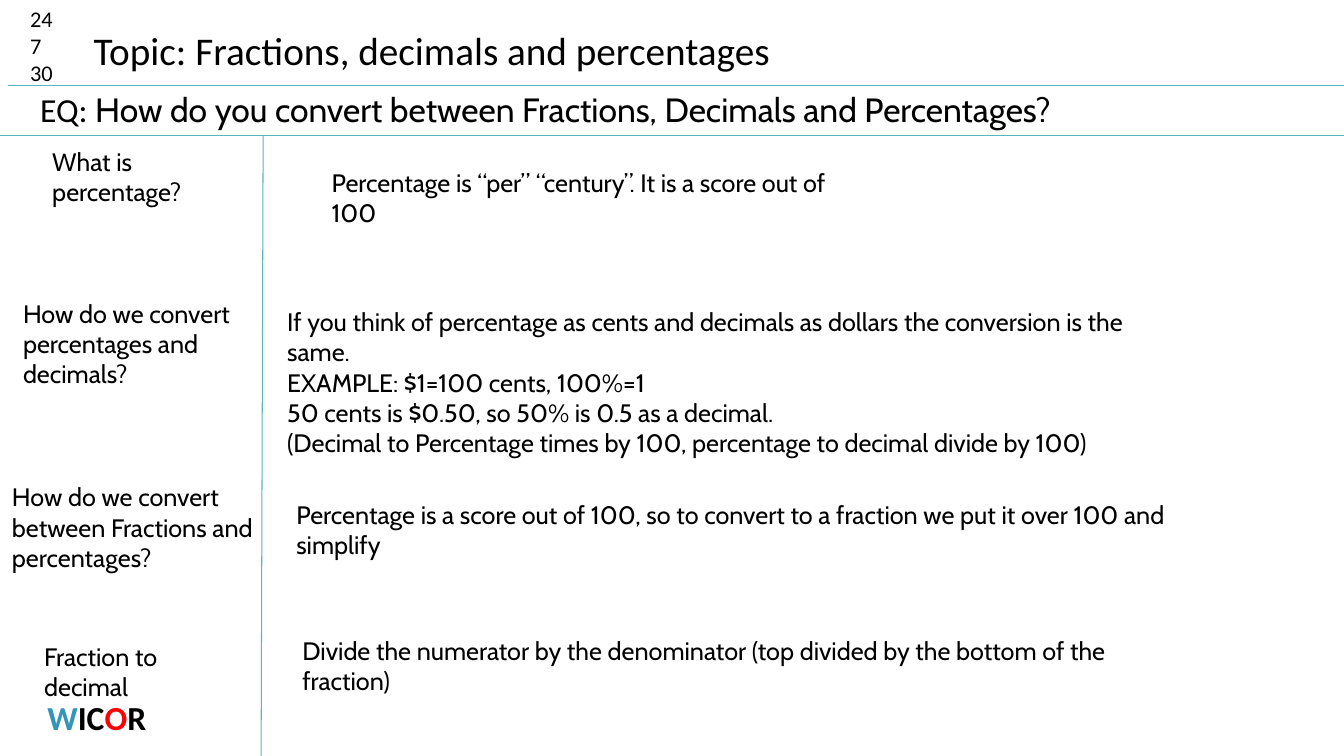
from dataclasses import dataclass

from lxml import etree
from pptx import Presentation
from pptx.dml.color import RGBColor
from pptx.enum import shapes, text
from pptx.oxml import ns
from pptx.util import Inches, Pt


@dataclass(frozen=True)
class Theme:
    """Colours, fonts and type sizes of the notes page."""
    ink: str = "000000"
    rule: str = "58B6C0"
    blue: str = "3494BA"
    red: str = "FF0000"
    plain: str = "Calibri"
    notes: str = "Cabin"
    topic: int = 28
    heading: int = 24
    body: int = 18
    date: int = 16
    rule_width: float = 0.75


THEME = Theme()
WIDTH, HEIGHT = 13.33, 7.5
TOPIC_RULE, HEADER_BOTTOM, CUE_EDGE = 0.85, 1.34, 2.61

NOTES = [
    ((0.42, 1.4, 1.93, 0.71), ["What is percentage?"],
     (3.19, 1.61, 5.54, 0.4),
     ["Percentage is “per” “century”. It is a score out of 100"]),
    ((0.13, 2.91, 2.32, 1.01), ["How do we convert percentages and decimals?"],
     (2.75, 2.99, 8.79, 1.31),
     ["If you think of percentage as cents and decimals as dollars the conversion is the same.",
      "EXAMPLE: $1=100 cents, 100%=1\n50 cents is $0.50, so 50% is 0.5 as a decimal.",
      "(Decimal to Percentage times by 100, percentage to decimal divide by 100)"]),
    ((0.02, 4.73, 2.59, 1.01), ["How do we convert between Fractions and percentages?"],
     (2.84, 4.9, 9.41, 0.4),
     ["Percentage is a score out of 100, so to convert to a fraction we put it over 100 and simplify"]),
    ((0.34, 6.31, 2.1, 0.4), ["Fraction to decimal"],
     (2.9, 6.25, 8.59, 0.4),
     ["Divide the numerator by the denominator (top divided by the bottom of the fraction)"]),
]


def add_run(paragraph, wording, size, font, color=THEME.ink, bold=False):
    """Add one styled run, breaking lines where the wording does."""
    for number, line in enumerate(wording.split("\n")):
        if number:
            paragraph.add_line_break()
        run = paragraph.add_run()
        run.text = line
        run.font.size = Pt(size)
        run.font.name = font
        run.font.bold = bold
        run.font.color.rgb = RGBColor.from_string(color)


def add_box(slide, box):
    """Place a wrapping text box and return its frame."""
    frame = slide.shapes.add_textbox(*map(Inches, box)).text_frame
    frame.word_wrap = True
    frame.auto_size = text.MSO_AUTO_SIZE.SHAPE_TO_FIT_TEXT
    return frame


def add_paragraphs(slide, box, wordings, size, font):
    """Place a text box with one paragraph for each wording."""
    frame = add_box(slide, box)
    for number, wording in enumerate(wordings):
        paragraph = frame.add_paragraph() if number else frame.paragraphs[0]
        add_run(paragraph, wording, size, font)


def add_rule(slide, start, end):
    """Draw a thin dividing line."""
    rule = slide.shapes.add_connector(
        shapes.MSO_CONNECTOR.STRAIGHT, *map(Inches, (*start, *end)))
    rule.line.color.rgb = RGBColor.from_string(THEME.rule)
    rule.line.width = Pt(THEME.rule_width)
    etree.SubElement(rule._element.spPr, ns.qn("a:effectLst"))


def add_rules(slide, width, height):
    """Divide the page into topic, question, cue and note areas."""
    add_rule(slide, (0.08, TOPIC_RULE), (width, TOPIC_RULE))
    add_rule(slide, (0, HEADER_BOTTOM), (width, HEADER_BOTTOM))
    add_rule(slide, (CUE_EDGE, HEADER_BOTTOM), (CUE_EDGE - 0.02, height))


def add_header(slide, left, top):
    """Write the date, the topic and the essential question."""
    add_paragraphs(slide, (left + 0.2, top, 0.63, 0.91), ["24", "7", "30"],
                   THEME.date, THEME.plain)
    add_paragraphs(slide, (left + 0.83, top + 0.21, 6.99, 0.57),
                   ["Topic: Fractions, decimals and percentages"],
                   THEME.topic, THEME.plain)
    question = add_box(slide, (left + 0.3, top + 0.83, 11.64, 0.5)).paragraphs[0]
    add_run(question, "EQ: ", THEME.heading, THEME.plain)
    add_run(question, "How do you convert between Fractions, Decimals and Percentages?",
            THEME.heading, THEME.notes)


def add_notes(slide, notes):
    """Write each cue beside its answer."""
    for cue_box, cue, answer_box, answer in notes:
        add_paragraphs(slide, cue_box, cue, THEME.body, THEME.notes)
        add_paragraphs(slide, answer_box, answer, THEME.body, THEME.notes)


def add_wicor(slide, box):
    """Write the coloured WICOR acronym."""
    acronym = add_box(slide, box).paragraphs[0]
    acronym.alignment = text.PP_ALIGN.CENTER
    for letters, color in (("W", THEME.blue), ("IC", THEME.ink),
                           ("O", THEME.red), ("R", THEME.ink)):
        add_run(acronym, letters, THEME.heading, THEME.plain, color, bold=True)


def main():
    """Build and save the notes slide."""
    deck = Presentation()
    deck.slide_width, deck.slide_height = Inches(WIDTH), Inches(HEIGHT)
    slide = deck.slides.add_slide(deck.slide_layouts[6])
    add_rules(slide, WIDTH, HEIGHT)
    add_header(slide, 0, 0)
    add_wicor(slide, (-0.15, 6.86, 2.22, 0.5))
    add_notes(slide, NOTES)
    deck.save("out.pptx")


if __name__ == "__main__":
    main()
